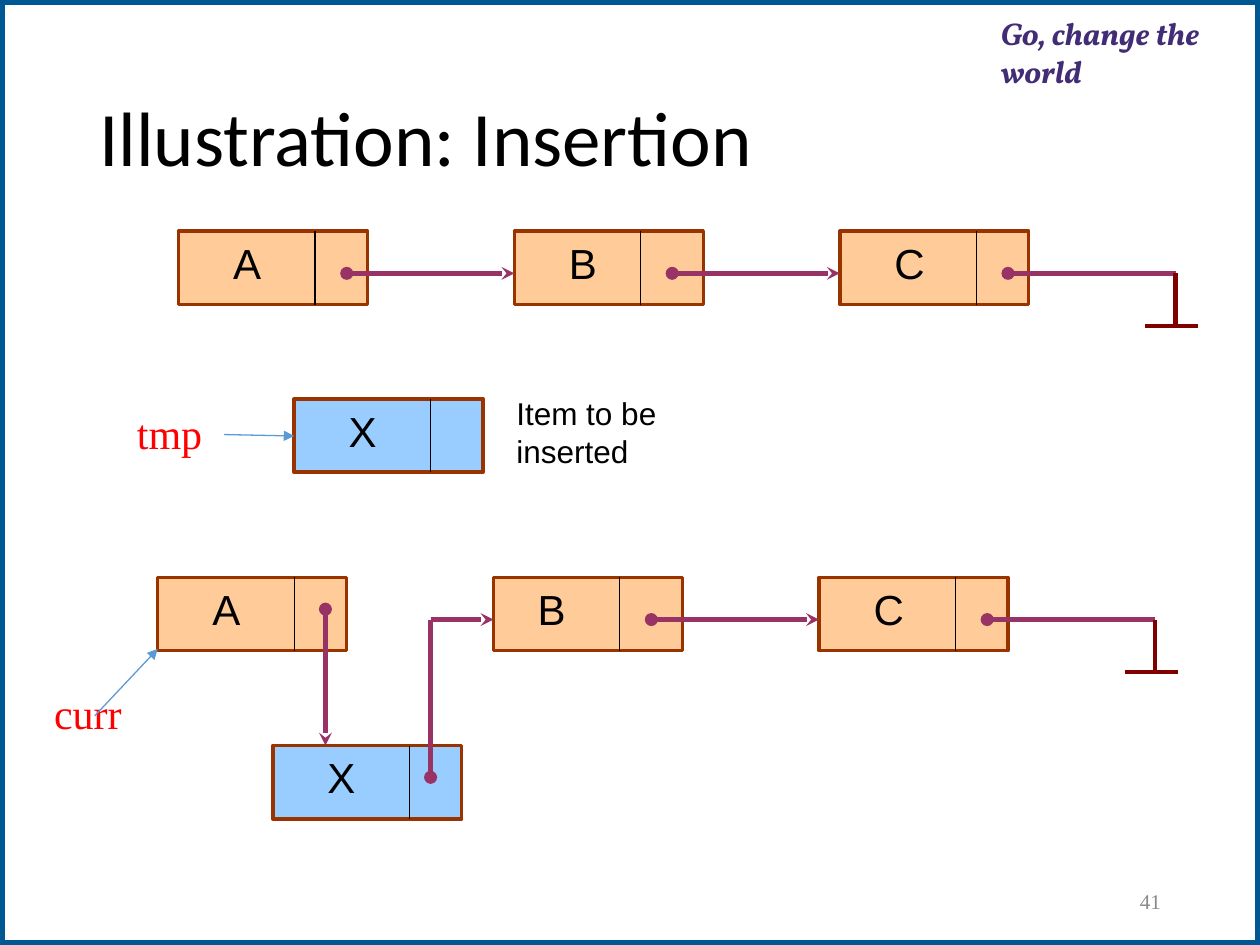
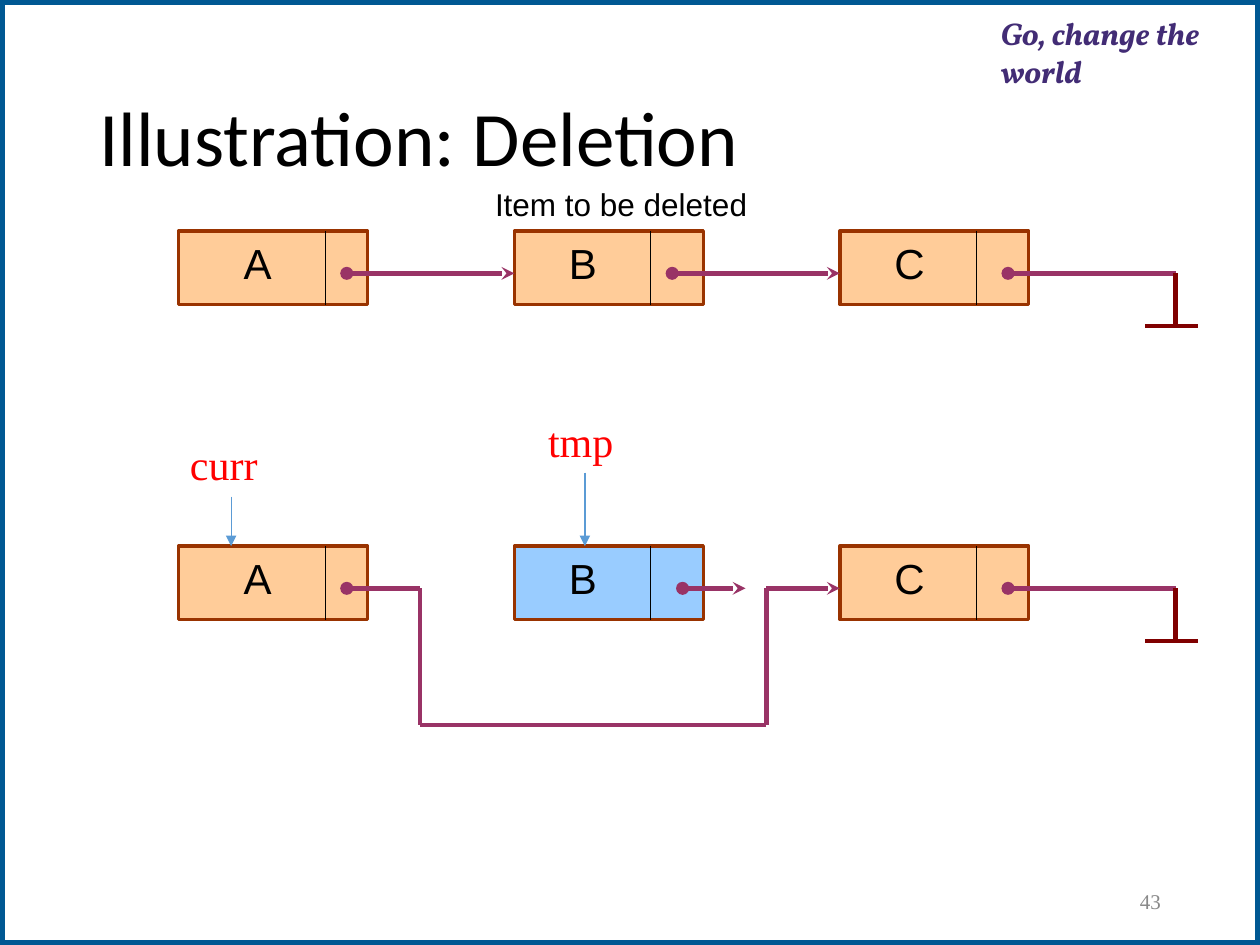
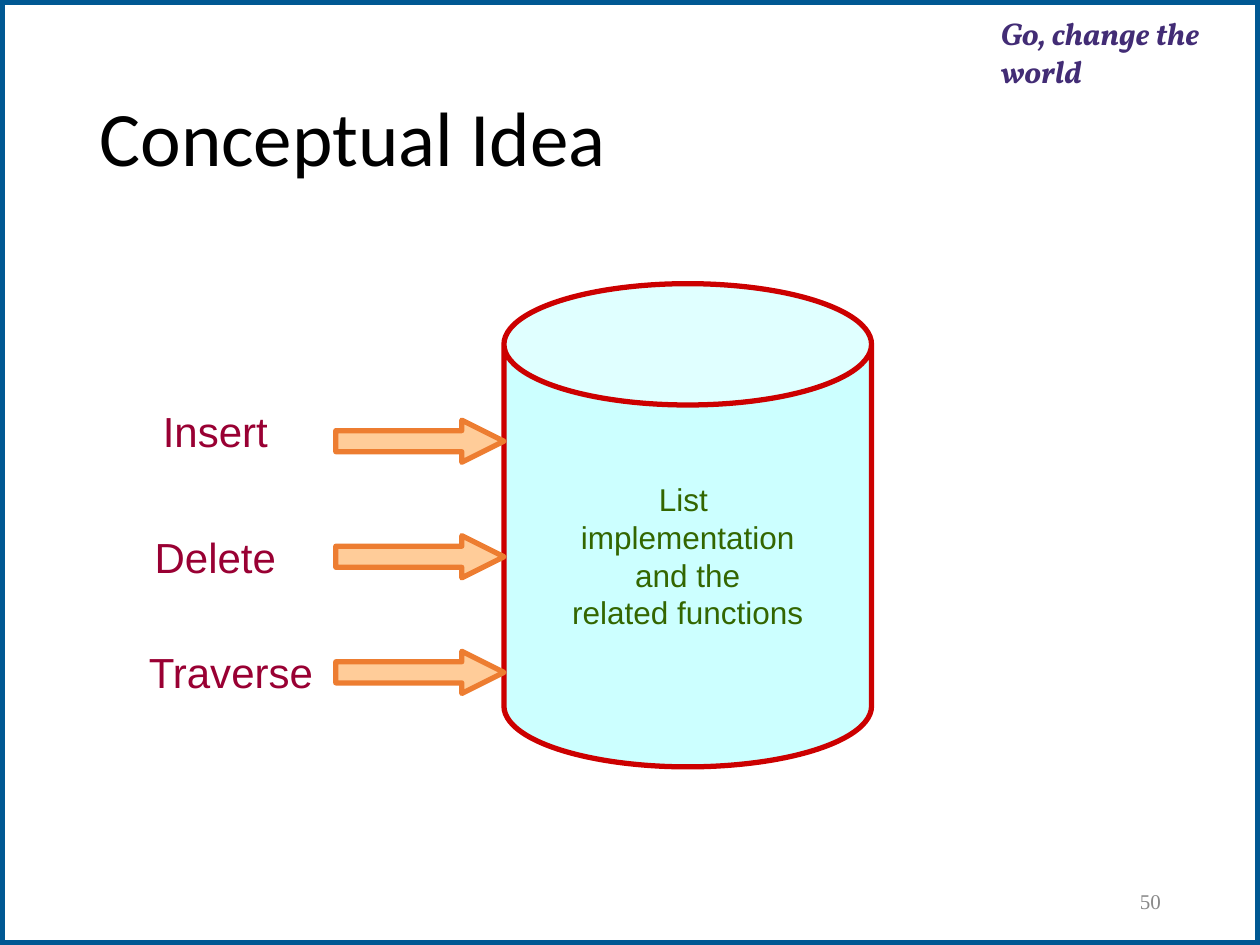
import pptx
import pptx.dml.color
import pptx.enum.shapes
import pptx.enum.text
import pptx.oxml
import pptx.util
from lxml import etree

Cm = pptx.util.Cm
Pt = pptx.util.Pt
SHAPE = pptx.enum.shapes.MSO_SHAPE
ALIGN = pptx.enum.text.PP_ALIGN
ANCHOR = pptx.enum.text.MSO_ANCHOR
AUTO_SIZE = pptx.enum.text.MSO_AUTO_SIZE

COLORS = {
    "paper": "FFFFFF", "frame": "005893", "motto": "422C75", "ink": "000000",
    "number": "898989", "node": "FFCC99", "changed": "99CCFF",
    "node_edge": "993300", "link": "993366", "ground": "800000",
    "pointer": "5B9BD5", "pointer_name": "FF0000",
    "store": "CCFFFF", "store_edge": "CC0000", "store_text": "336600",
    "operation": "990033", "arrow_edge": "ED7D31",
}

# Content, all lengths in centimetres
MOTTO = "Go, change the world"

# Nodes: name, left, fill, divider offset, label offset
# Links: start and end on the row's link height; ground: left end of its link
# Routes: corner points, with a dot at the start and an arrowhead at the end
# Pointers: name, label place and size, arrow start, arrow end
# Notes: text, left, top, width, height
LIST_PAGES = [
    {
        "title": "Illustration: Insertion", "number": "41",
        "rows": [
            {"top": 4.66, "ground": 19.47,
             "links": [(6.99, 10.37), (13.55, 16.93)],
             "nodes": [("A", 3.6, "node", 2.75, 0.85),
                       ("B", 10.37, "node", 2.54, 0.85),
                       ("C", 16.93, "node", 2.75, 0.85)]},
            {"top": 8.04, "links": [],
             "nodes": [("X", 5.93, "changed", 2.75, 0.85)]},
            {"top": 11.64, "ground": 19.05 + 0.85,
             "links": [(13.13, 16.51)],
             "nodes": [("A", 3.18, "node", 2.75, 0.85),
                       ("B", 9.95, "node", 2.54, 0.64),
                       ("C", 16.51, "node", 2.75, 0.85)]},
            {"top": 15.03, "links": [],
             "nodes": [("X", 5.5, "changed", 2.75, 0.85)]},
        ],
        "routes": [
            [(6.56, 12.28), (6.56, 15.03)],
            [(8.68, 15.67), (8.68, 12.49), (9.95, 12.49)],
        ],
        "pointers": [
            ("curr", (0.84, 13.74, 2.13, 1.28), (1.91, 14.43), (3.18, 13.08)),
            ("tmp", (2.51, 8.1, 1.98, 1.28), (4.52, 8.76), (5.93, 8.79)),
        ],
        "notes": [("Item to be inserted", 10.16, 7.82, 4.65, 1.78)],
    },
    {
        "title": "Illustration: Deletion", "number": "43",
        "rows": [
            {"top": 4.66,
             "links": [(6.99, 10.37), (13.55, 16.93)],
             "nodes": [("A", 3.6, "node", 2.96, 1.06),
                       ("B", 10.37, "node", 2.75, 0.85),
                       ("C", 16.93, "node", 2.75, 0.85)]},
            {"top": 11.01,
             "links": [(13.76, 15.03)],
             "nodes": [("A", 3.6, "node", 2.96, 1.06),
                       ("B", 10.37, "changed", 2.75, 0.85),
                       ("C", 16.93, "node", 2.75, 0.85)]},
        ],
        "routes": [
            [(6.99, 11.86), (8.47, 11.86), (8.47, 14.61),
             (15.45, 14.61), (15.45, 11.86), (16.93, 11.86)],
        ],
        "pointers": [
            ("curr", (3.58, 8.71, 2.13, 1.27), (4.66, 10.01), (4.66, 11.01)),
            ("tmp", (10.8, 8.26, 1.98, 1.27), (11.79, 9.53), (11.79, 11.01)),
        ],
        "notes": [("Item to be deleted", 9.73, 3.61, 6.99, 1.02)],
    },
]

IDEA = {"title": "Conceptual Idea", "number": "50"}
STORE_LINES = ["List ", "implementation", "and the", "related functions"]
# Operation, label top, label width
OPERATIONS = [("Insert", 8.05, 3.6), ("Delete", 10.59, 3.6),
              ("Traverse", 12.91, 4.23)]
FIRST_ARROW_TOP, ARROW_STEP = 8.47, 2.33

NODE_WIDTH, NODE_HEIGHT = 3.81, 1.48
LINK_DROP = 0.85
GROUND_LINK_START, GROUND_OFFSET, GROUND_DROP = 3.39, 6.77, 1.06
GROUND_BAR = (-0.61, 0.46)


def rgb(name):
    return pptx.dml.color.RGBColor.from_string(COLORS[name])


def write(frame, lines, size, color, font="Arial", align=ALIGN.LEFT, bold=None):
    frame.word_wrap = True
    for index, line in enumerate(lines):
        para = frame.paragraphs[0] if index == 0 else frame.add_paragraph()
        para.alignment = align
        span = para.add_run()
        span.text = line
        span.font.size = Pt(size)
        span.font.name = font
        span.font.bold = span.font.italic = bold
        span.font.color.rgb = rgb(color)


def add_text(page, text, place, size, color, **style):
    box = page.shapes.add_textbox(*map(Cm, place))
    write(box.text_frame, [text], size, color, **style)
    return box.text_frame


def add_block(page, kind, place, fill, edge, width):
    block = page.shapes.add_shape(kind, *map(Cm, place))
    block.shadow.inherit = False
    block.fill.solid()
    block.fill.fore_color.rgb = rgb(fill)
    block.line.color.rgb = rgb(edge)
    block.line.width = Pt(width)
    return block


def add_line(page, start, end, color, width, head=None, tail=None):
    line = page.shapes.add_connector(
        pptx.enum.shapes.MSO_CONNECTOR.STRAIGHT, *map(Cm, start + end))
    line.line.color.rgb = rgb(color)
    line.line.width = Pt(width)
    outline = line.line._get_or_add_ln()
    for tag, kind in (("a:headEnd", head), ("a:tailEnd", tail)):
        if kind:
            etree.SubElement(outline, pptx.oxml.ns.qn(tag), type=kind)
    etree.SubElement(line._element.spPr, pptx.oxml.ns.qn("a:effectLst"))


def add_route(page, points, tail="stealth"):
    last = len(points) - 2
    for index, (start, end) in enumerate(zip(points, points[1:])):
        add_line(page, start, end, "link", 2.5,
                 head="oval" if index == 0 else None,
                 tail=tail if index == last else None)


def add_page(deck, title, number):
    page = deck.slides.add_slide(deck.slide_layouts[5])
    # Border behind everything, motto and page number
    border = add_block(page, SHAPE.RECTANGLE, (0, 0, 25.4, 19.05),
                       "paper", "frame", 6)
    page.shapes._spTree.insert(2, border._element)
    motto = add_text(page, MOTTO, (20.17, 0.25, 5.2, 1.57), 18, "motto",
                     font="Vollkorn", bold=True)
    motto.margin_left = motto.margin_right = motto.margin_bottom = 0
    motto.margin_top = Cm(0.03)
    footer = add_text(page, number, (17.93, 17.65, 5.72, 1.02), 12, "number",
                      font="Times New Roman", align=ALIGN.RIGHT)
    footer.vertical_anchor = ANCHOR.MIDDLE
    # Title
    heading = page.shapes.title
    heading.left, heading.top = Cm(1.75), Cm(1.02)
    heading.width, heading.height = Cm(21.9), Cm(3.68)
    write(heading.text_frame, [title], 44, "ink", font="Calibri")
    heading.text_frame.auto_size = AUTO_SIZE.NONE
    heading.text_frame.vertical_anchor = ANCHOR.MIDDLE
    heading.text_frame.paragraphs[0].line_spacing = 0.9
    return page


def add_node(page, top, name, left, fill, divider, label):
    add_block(page, SHAPE.RECTANGLE, (left, top, NODE_WIDTH, NODE_HEIGHT),
              fill, "node_edge", 2)
    split = left + divider
    add_line(page, (split, top), (split, top + NODE_HEIGHT), "ink", 0.75)
    add_text(page, name, (left + label, top, 1.69, 1.27), 24, "ink")


def add_ground(page, node_left, level):
    across = node_left + GROUND_OFFSET
    floor = level + GROUND_DROP
    add_route(page, [(node_left + GROUND_LINK_START, level), (across, level)],
              tail=None)
    add_line(page, (across, level), (across, floor), "ground", 2.5)
    add_line(page, (across + GROUND_BAR[0], floor),
             (across + GROUND_BAR[1], floor), "ground", 2.5)


def build_list_page(deck, content):
    page = add_page(deck, content["title"], content["number"])
    for row in content["rows"]:
        level = row["top"] + LINK_DROP
        for node in row["nodes"]:
            add_node(page, row["top"], *node)
        for start, end in row["links"]:
            add_route(page, [(start, level), (end, level)])
        name, left = row["nodes"][-1][:2]
        if name == "C":
            add_ground(page, left, level)
    for points in content["routes"]:
        add_route(page, points)
    for name, place, start, end in content["pointers"]:
        add_text(page, name, place, 24, "pointer_name", font="Times New Roman")
        add_line(page, start, end, "pointer", 0.75, tail="triangle")
    for text, *place in content["notes"]:
        add_text(page, text, place, 18, "ink")


def build_idea_page(deck):
    page = add_page(deck, IDEA["title"], IDEA["number"])
    store = add_block(page, SHAPE.CAN, (10.16, 5.72, 7.41, 9.74),
                      "store", "store_edge", 3)
    store.adjustments[0] = 0.33
    store.text_frame.vertical_anchor = ANCHOR.MIDDLE
    write(store.text_frame, STORE_LINES, 18, "store_text", align=ALIGN.CENTER)
    for index, (name, top, width) in enumerate(OPERATIONS):
        arrow = add_block(
            page, SHAPE.RIGHT_ARROW,
            (6.77, FIRST_ARROW_TOP + index * ARROW_STEP, 3.39, 0.85),
            "node", "arrow_edge", 3)
        arrow.adjustments[0], arrow.adjustments[1] = 0.5, 1
        add_text(page, name, (2.54, top, width, 1.27), 24, "operation",
                 align=ALIGN.CENTER)


def main():
    deck = pptx.Presentation()
    deck.slide_width, deck.slide_height = Cm(25.4), Cm(19.05)
    for content in LIST_PAGES:
        build_list_page(deck, content)
    build_idea_page(deck)
    deck.save("out.pptx")


if __name__ == "__main__":
    main()
